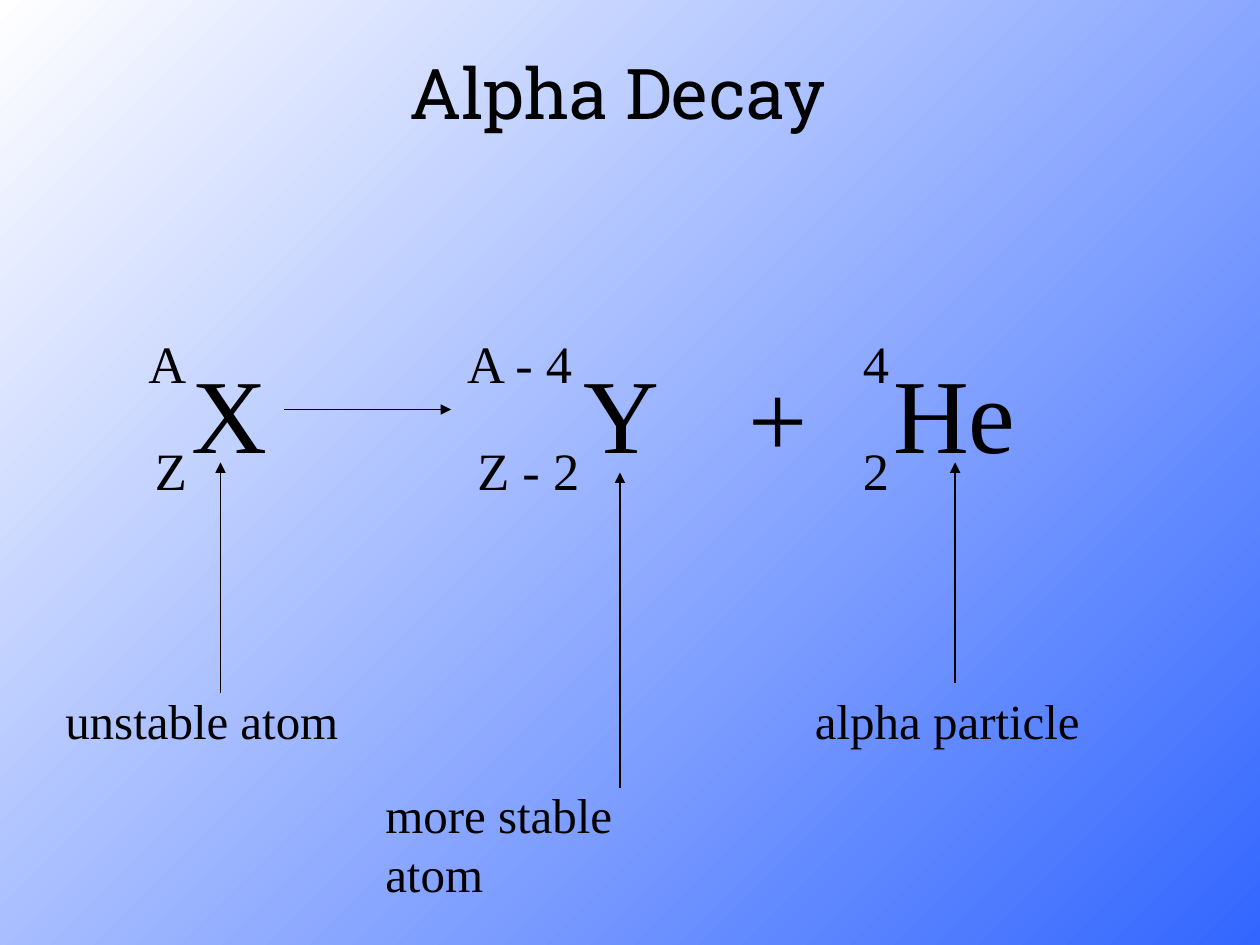
import pptx
import pptx.dml.color
import pptx.enum.shapes
import pptx.enum.text
import pptx.oxml.ns
import pptx.util
from lxml import etree
from pptx.util import Inches

COLORS = {"ink": "000000", "blue": "3366FF", "white": "FFFFFF"}
BODY_FONT = "Times New Roman"
TITLE_FONT = "Roboto Slab"
SYMBOL_TOP, MASS_TOP, CHARGE_TOP = 2.72, 2.58, 3.43


def color(name):
    return pptx.dml.color.RGBColor.from_string(COLORS[name])


def paint_background(slide):
    fill = slide.background.fill
    fill.gradient()
    fill.gradient_angle = 135
    for stop, name, position in zip(fill.gradient_stops, ("blue", "white"), (0, 1)):
        stop.color.rgb = color(name)
        stop.position = position


def add_text(shapes, text, left, top, width, height, size=30, font=BODY_FONT):
    box = shapes.add_textbox(Inches(left), Inches(top), Inches(width), Inches(height))
    frame = box.text_frame
    frame.word_wrap = False
    frame.auto_size = pptx.enum.text.MSO_AUTO_SIZE.SHAPE_TO_FIT_TEXT
    paragraph = frame.paragraphs[0]
    run = paragraph.add_run()
    run.text = text
    run.font.size = pptx.util.Pt(size)
    run.font.name = font
    run.font.color.rgb = color("ink")


def add_arrow(shapes, start, end):
    arrow = shapes.add_connector(
        pptx.enum.shapes.MSO_CONNECTOR.STRAIGHT,
        *(Inches(value) for value in (*start, *end)),
    )
    arrow.line.color.rgb = color("ink")
    arrow.line.width = pptx.util.Pt(0.75)
    qn = pptx.oxml.ns.qn
    etree.SubElement(arrow.line._get_or_add_ln(), qn("a:tailEnd"), type="triangle")
    etree.SubElement(arrow._element.spPr, qn("a:effectLst"))


def add_nuclide(shapes, symbol, mass, charge):
    text, left, width = symbol
    add_text(shapes, text, left, SYMBOL_TOP, width, 1.1, size=60)
    for (text, left, width), top in ((mass, MASS_TOP), (charge, CHARGE_TOP)):
        add_text(shapes, text, left, top, width, 0.6)


def add_equation(slide):
    shapes = slide.shapes.add_group_shape().shapes
    add_nuclide(shapes, ("X", 1.42, 0.8), ("A", 1.08, 0.5), ("Z", 1.13, 0.45))
    add_nuclide(shapes, ("Y", 4.53, 0.8), ("A - 4", 3.61, 1.05), ("Z - 2", 3.69, 1.01))
    add_arrow(shapes, (2.25, 3.25), (3.58, 3.25))
    add_text(shapes, "+", 5.84, 2.75, 0.67, 1.1, size=60)
    add_nuclide(shapes, ("He", 6.99, 1.17), ("4", 6.75, 0.41), ("2", 6.75, 0.41))


def add_label(slide, text, left, top, width, arrow_x, arrow_bottom, arrow_top):
    add_text(slide.shapes, text, left, top, width, 0.57, size=28)
    add_arrow(slide.shapes, (arrow_x, arrow_bottom), (arrow_x, arrow_top))


def main():
    presentation = pptx.Presentation()
    presentation.slide_width = Inches(10)
    presentation.slide_height = Inches(7.5)
    slide = presentation.slides.add_slide(presentation.slide_layouts[6])
    paint_background(slide)
    add_equation(slide)
    add_text(slide.shapes, "Alpha Decay", 3.15, 0.34, 3.59, 0.77, size=40, font=TITLE_FONT)
    add_label(slide, "unstable atom", 0.42, 5.43, 2.37, 1.75, 5.5, 3.67)
    add_label(slide, "more stable atom", 2.96, 6.18, 2.87, 4.92, 6.25, 3.75)
    add_label(slide, "alpha particle", 6.37, 5.43, 2.3, 7.58, 5.42, 3.67)
    presentation.save("out.pptx")


if __name__ == "__main__":
    main()
